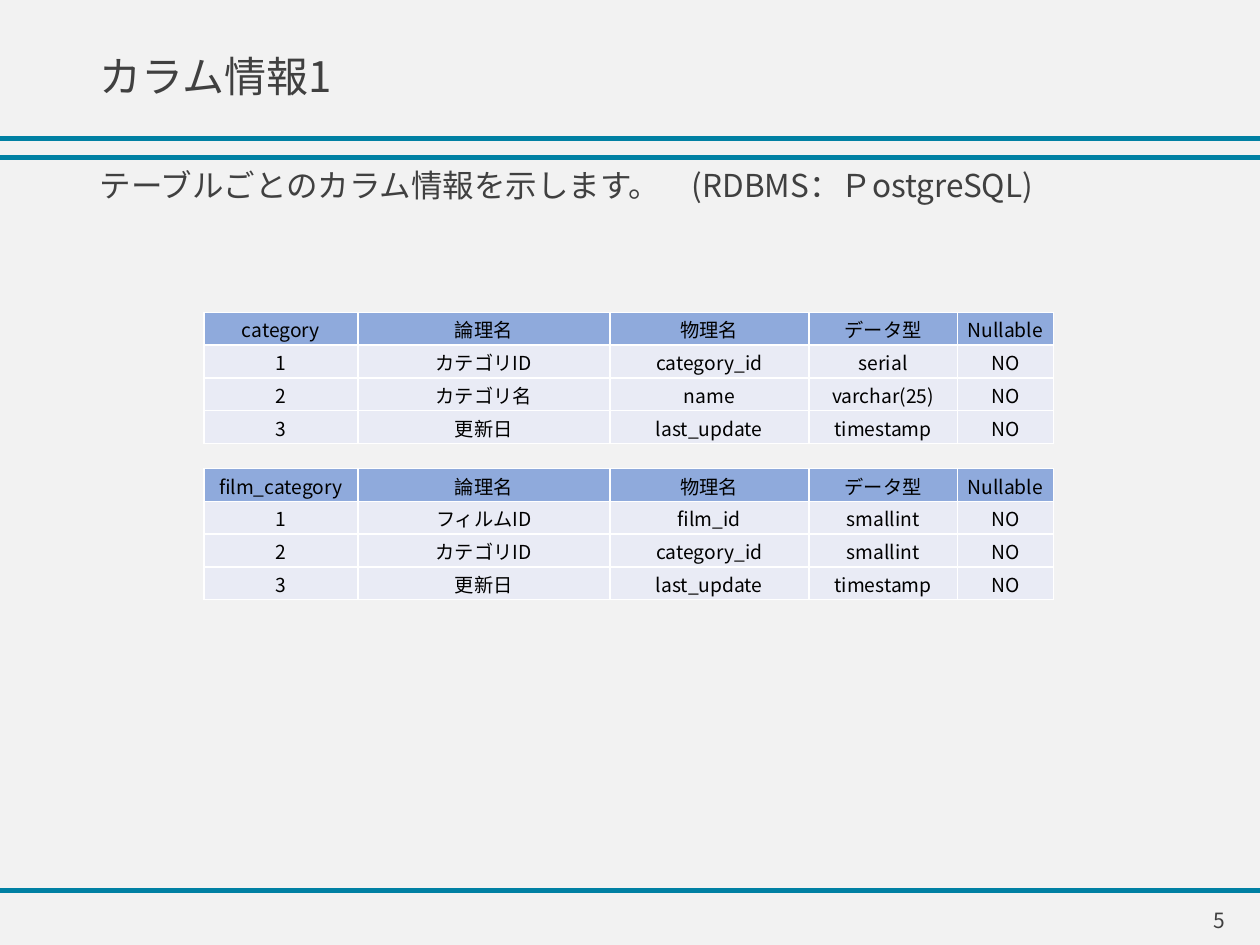
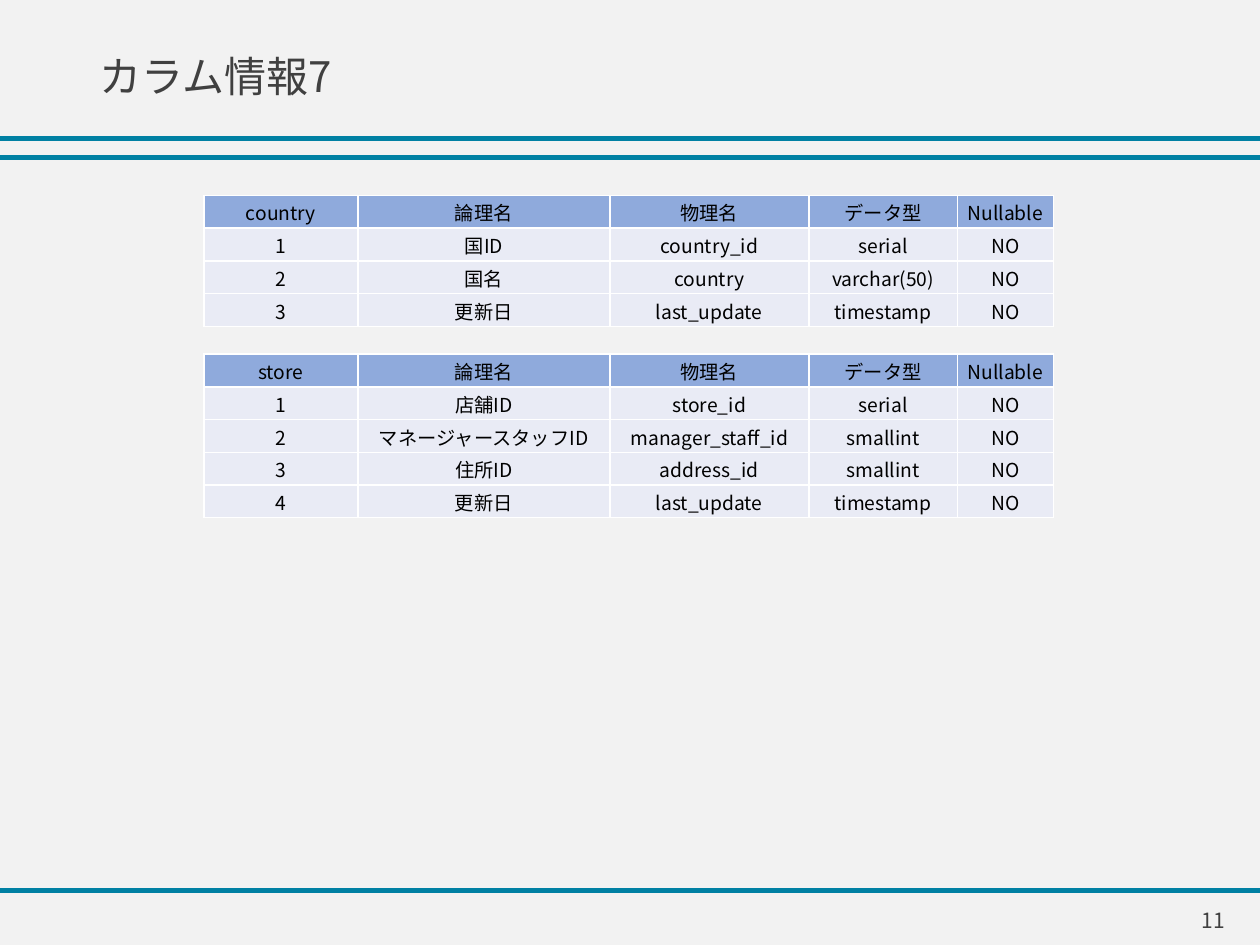
from lxml.etree import SubElement
from pptx import Presentation
from pptx.dml.color import RGBColor
from pptx.enum.shapes import MSO_CONNECTOR as Connector
from pptx.enum.text import MSO_ANCHOR as Anchor, MSO_AUTO_SIZE as AutoSize, PP_ALIGN as Align
from pptx.oxml.ns import qn
from pptx.util import Inches, Pt

FONT = "Noto Sans CJK JP"
BACKGROUND = "F2F2F2"
TEAL = "0080A3"
GRAY = "404040"
BLACK = "000000"
WHITE = "FFFFFF"
HEADER_BLUE = "8FAADC"
ROW_BLUE = "E9EBF5"

RULE_HEIGHTS = [1.1, 1.25, 7.07]
TABLE_LEFT = 1.62
COLUMN_WIDTHS = [1.22, 2, 1.58, 1.18, 0.76]
ROW_HEIGHT = 0.26
HEADINGS = ["論理名", "物理名", "データ型", "Nullable"]
LAST_UPDATE = ("更新日", "last_update", "timestamp")

SLIDES = [
    {
        "title": "カラム情報1",
        "lead": "テーブルごとのカラム情報を示します。\u3000(RDBMS：ＰostgreSQL)".replace("\u3000", "　"),
        "number": 5,
        "tables": [
            ("category", 2.48, [
                ("カテゴリID", "category_id", "serial"),
                ("カテゴリ名", "name", "varchar(25)"),
                LAST_UPDATE,
            ]),
            ("film_category", 3.72, [
                ("フィルムID", "film_id", "smallint"),
                ("カテゴリID", "category_id", "smallint"),
                LAST_UPDATE,
            ]),
        ],
    },
    {
        "title": "カラム情報7",
        "lead": None,
        "number": 11,
        "tables": [
            ("country", 1.55, [
                ("国ID", "country_id", "serial"),
                ("国名", "country", "varchar(50)"),
                LAST_UPDATE,
            ]),
            ("store", 2.81, [
                ("店舗ID", "store_id", "serial"),
                ("マネージャースタッフID", "manager_staff_id", "smallint"),
                ("住所ID", "address_id", "smallint"),
                LAST_UPDATE,
            ]),
        ],
    },
]


def color(hex_string):
    return RGBColor.from_string(hex_string)


def write_text(frame, text, size, hex_color=GRAY, align=Align.LEFT, anchor=Anchor.MIDDLE, spacing=1.0):
    frame.word_wrap = True
    frame.vertical_anchor = anchor
    paragraph = frame.paragraphs[0]
    paragraph.alignment = align
    paragraph.line_spacing = spacing
    paragraph.space_before = Pt(0)
    run = paragraph.add_run()
    run.text = text
    run.font.size = Pt(size)
    run.font.name = FONT
    run.font.color.rgb = color(hex_color)
    SubElement(run.font._element, qn("a:ea"), typeface=FONT)
    return paragraph


def place(shape, left, top, width, height):
    shape.left, shape.top = Inches(left), Inches(top)
    shape.width, shape.height = Inches(width), Inches(height)


def add_rule(slide, top):
    rule = slide.shapes.add_connector(Connector.STRAIGHT, 0, Inches(top), Inches(10), Inches(top))
    rule.line.color.rgb = color(TEAL)
    rule.line.width = Pt(3)
    SubElement(rule._element.spPr, qn("a:effectLst"))


def add_title(slide, text):
    title = slide.shapes.title
    place(title, 0.69, 0.15, 6.51, 0.95)
    title.text_frame.auto_size = AutoSize.NONE
    write_text(title.text_frame, text, 24, spacing=0.9)


def add_lead(slide, text):
    body = slide.placeholders[1]
    place(body, 0.69, 1.3, 8.62, 0.52)
    body.text_frame.auto_size = AutoSize.NONE
    paragraph = write_text(body.text_frame, text, 18, anchor=Anchor.TOP, spacing=0.9)
    properties = paragraph._p.get_or_add_pPr()
    properties.set("marL", "0")
    properties.set("indent", "0")
    SubElement(properties, qn("a:buNone"))


def add_page_number(slide, number):
    box = slide.shapes.add_textbox(Inches(7.57), Inches(7.1), Inches(2.25), Inches(0.4))
    write_text(box.text_frame, str(number), 12, align=Align.RIGHT)


def add_borders(cell):
    properties = cell._tc.get_or_add_tcPr()
    for side in ("lnL", "lnR", "lnT", "lnB"):
        line = SubElement(properties, qn(f"a:{side}"), w=str(Pt(1)))
        fill = SubElement(line, qn("a:solidFill"))
        SubElement(fill, qn("a:srgbClr"), val=WHITE)


def format_cell(cell, text, fill):
    cell.margin_left = cell.margin_right = cell.margin_top = Inches(0.01)
    cell.margin_bottom = 0
    cell.vertical_anchor = Anchor.MIDDLE
    add_borders(cell)
    cell.fill.solid()
    cell.fill.fore_color.rgb = color(fill)
    write_text(cell.text_frame, text, 11, BLACK, align=Align.CENTER)


def add_column_table(slide, name, top, columns):
    rows = [[name, *HEADINGS]]
    rows += [[str(number), *column, "NO"] for number, column in enumerate(columns, 1)]
    table = slide.shapes.add_table(
        len(rows), len(COLUMN_WIDTHS), Inches(TABLE_LEFT), Inches(top),
        Inches(sum(COLUMN_WIDTHS)), Inches(ROW_HEIGHT * len(rows))).table
    table.first_row = table.horz_banding = False
    for column, width in zip(table.columns, COLUMN_WIDTHS):
        column.width = Inches(width)
    for index, texts in enumerate(rows):
        table.rows[index].height = Inches(ROW_HEIGHT)
        fill = ROW_BLUE if index else HEADER_BLUE
        for cell, text in zip(table.rows[index].cells, texts):
            format_cell(cell, text, fill)


def add_slide(presentation, content):
    layout = presentation.slide_layouts[1 if content["lead"] else 5]
    slide = presentation.slides.add_slide(layout)
    for top in RULE_HEIGHTS:
        add_rule(slide, top)
    add_title(slide, content["title"])
    if content["lead"]:
        add_lead(slide, content["lead"])
    for name, top, columns in content["tables"]:
        add_column_table(slide, name, top, columns)
    add_page_number(slide, content["number"])


def main():
    presentation = Presentation()
    presentation.slide_width = Inches(10)
    presentation.slide_height = Inches(7.5)
    background = presentation.slide_master.background.fill
    background.solid()
    background.fore_color.rgb = color(BACKGROUND)
    for content in SLIDES:
        add_slide(presentation, content)
    presentation.save("out.pptx")


if __name__ == "__main__":
    main()
